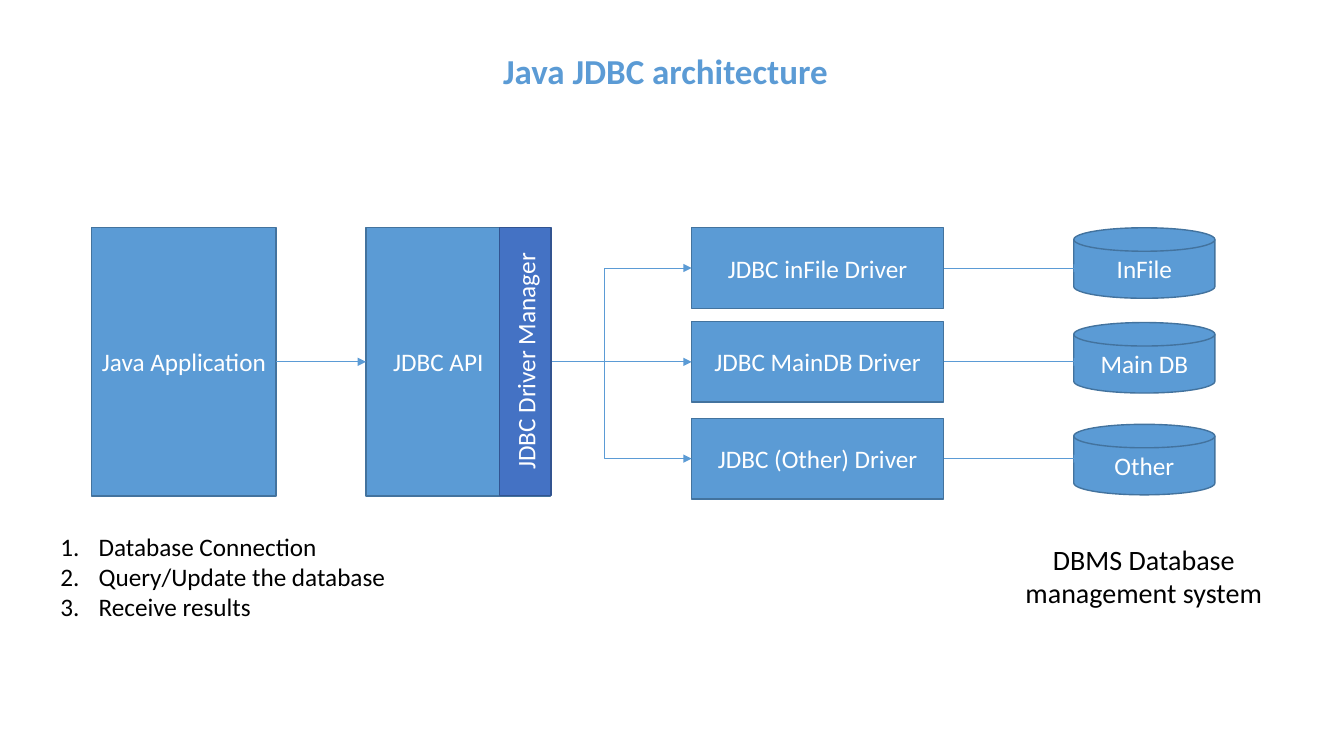
"""Build a slide that shows the layers of the Java JDBC architecture."""
from pptx import Presentation
from pptx.dml.color import RGBColor
from pptx.enum.shapes import MSO_CONNECTOR, MSO_SHAPE
from pptx.enum.text import MSO_ANCHOR, PP_ALIGN
from pptx.oxml.ns import qn
from pptx.util import Inches, Pt
from lxml.etree import SubElement

BLUE = RGBColor(0x5B, 0x9B, 0xD5)
BLUE_EDGE = RGBColor(0x43, 0x73, 0x9E)
INDIGO = RGBColor(0x44, 0x72, 0xC4)
INDIGO_EDGE = RGBColor(0x32, 0x54, 0x91)
WHITE = RGBColor(0xFF, 0xFF, 0xFF)
BLACK = RGBColor(0, 0, 0)


def write(frame, text, size=18, color=WHITE, bold=False, align=PP_ALIGN.CENTER,
          anchor=MSO_ANCHOR.MIDDLE, spacing=1.0, numbered=False):
    frame.word_wrap = True
    frame.vertical_anchor = anchor
    frame.text = text
    for para in frame.paragraphs:
        para.alignment = align
        para.line_spacing = spacing
        for span in para.runs:
            span.font.name = "Calibri"
            span.font.size = Pt(size)
            span.font.bold = bold
            span.font.color.rgb = color
        if numbered:
            properties = para._p.get_or_add_pPr()
            properties.set("marL", str(Inches(0.38)))
            properties.set("indent", str(Inches(-0.38)))
            SubElement(properties, qn("a:buFont"), typeface="+mj-lt")
            SubElement(properties, qn("a:buAutoNum"), type="arabicPeriod")


class Diagram:
    def __init__(self, deck, fill=BLUE, edge=BLUE_EDGE):
        self.page = deck.slides.add_slide(deck.slide_layouts[5])
        self.fill, self.edge = fill, edge

    def title(self, text, left, top, width, height):
        box = self.page.shapes.title
        box.left, box.top = Inches(left), Inches(top)
        box.width, box.height = Inches(width), Inches(height)
        write(box.text_frame, text, size=25, color=self.fill, bold=True, spacing=0.9)

    def block(self, text, left, top, width, height, kind=MSO_SHAPE.RECTANGLE,
              fill=None, edge=None, rotation=0, inset=0.05, **style):
        box = self.page.shapes.add_shape(
            kind, Inches(left), Inches(top), Inches(width), Inches(height))
        box.shadow.inherit = False
        box.rotation = rotation
        box.fill.solid()
        box.fill.fore_color.rgb = fill or self.fill
        box.line.color.rgb = edge or self.edge
        box.line.width = Pt(1)
        box.text_frame.margin_left = Inches(inset)
        box.text_frame.margin_right = Inches(0.05)
        write(box.text_frame, text, **style)

    def arrow(self, start, end, kind=MSO_CONNECTOR.STRAIGHT, ends=("tailEnd",)):
        link = self.page.shapes.add_connector(
            kind, *(Inches(value) for value in start + end))
        link.line.color.rgb = self.fill
        link.line.width = Pt(0.5)
        for name in ends:
            SubElement(link.line._get_or_add_ln(), qn("a:" + name), type="triangle")
        SubElement(link._element.spPr, qn("a:effectLst"))

    def label(self, text, left, top, width, height, **style):
        box = self.page.shapes.add_textbox(
            Inches(left), Inches(top), Inches(width), Inches(height))
        write(box.text_frame, text, color=BLACK, anchor=MSO_ANCHOR.TOP, **style)


deck = Presentation()
deck.slide_width, deck.slide_height = Inches(13.33), Inches(7.5)
diagram = Diagram(deck)
diagram.title("Java JDBC architecture", 0.85, 0, 11.5, 1.45)

TOP, HEIGHT, MIDDLE = 2.26, 2.66, 3.59
APP_LEFT, API_LEFT, PANEL_WIDTH = 0.91, 3.63, 1.83
DRIVER_LEFT, DRIVER_WIDTH, DRIVER_HEIGHT = 6.86, 2.5, 0.8
HUB, FORK = 5.12, 5.99
DISK_LEFT, DISK_EDGE = 10.65, 10.73

diagram.block("Java Application", APP_LEFT, TOP, PANEL_WIDTH, HEIGHT)
diagram.block("JDBC API", API_LEFT, TOP, PANEL_WIDTH, HEIGHT,
              inset=0.27, align=PP_ALIGN.LEFT)
diagram.arrow((APP_LEFT + PANEL_WIDTH, MIDDLE), (API_LEFT, MIDDLE))

ROWS = [("JDBC inFile Driver", 2.26, "InFile", 2.26),
        ("JDBC MainDB Driver", 3.19, "Main DB", 3.2),
        ("JDBC (Other) Driver", 4.15, "Other", 4.21)]
for driver, driver_top, database, disk_top in ROWS:
    center = round(driver_top + DRIVER_HEIGHT / 2, 2)
    diagram.block(driver, DRIVER_LEFT, driver_top, DRIVER_WIDTH, DRIVER_HEIGHT)
    diagram.block(database, DISK_LEFT, disk_top, 1.4, 0.7,
                  kind=MSO_SHAPE.FLOWCHART_MAGNETIC_DISK)
    if center == MIDDLE:
        diagram.arrow((FORK, MIDDLE), (DRIVER_LEFT, MIDDLE))
    else:
        diagram.arrow((HUB, MIDDLE), (DRIVER_LEFT, center),
                      kind=MSO_CONNECTOR.ELBOW, ends=("headEnd", "tailEnd"))
    diagram.arrow((DRIVER_LEFT + DRIVER_WIDTH, center), (DISK_EDGE, center))

diagram.block("JDBC Driver Manager", 3.88, 3.33, HEIGHT, 0.51,
              fill=INDIGO, edge=INDIGO_EDGE, rotation=270)
diagram.label("DBMS Database management system", 9.61, 5.33, 3.47, 0.77, size=20)
diagram.label("Database Connection\nQuery/Update the database\nReceive results",
              0.5, 5.22, 3.46, 1.01, align=PP_ALIGN.LEFT, numbered=True)

deck.save("out.pptx")
